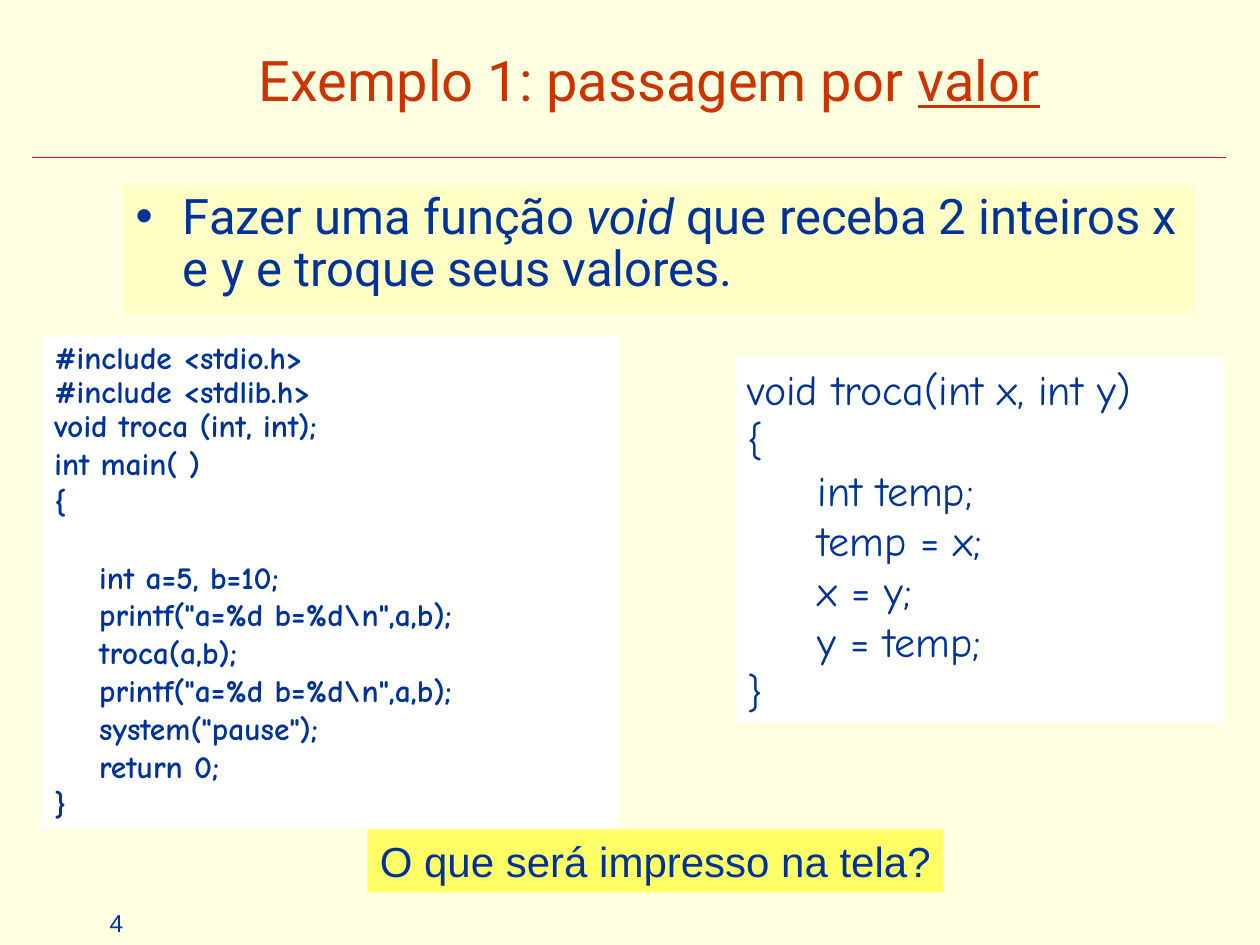
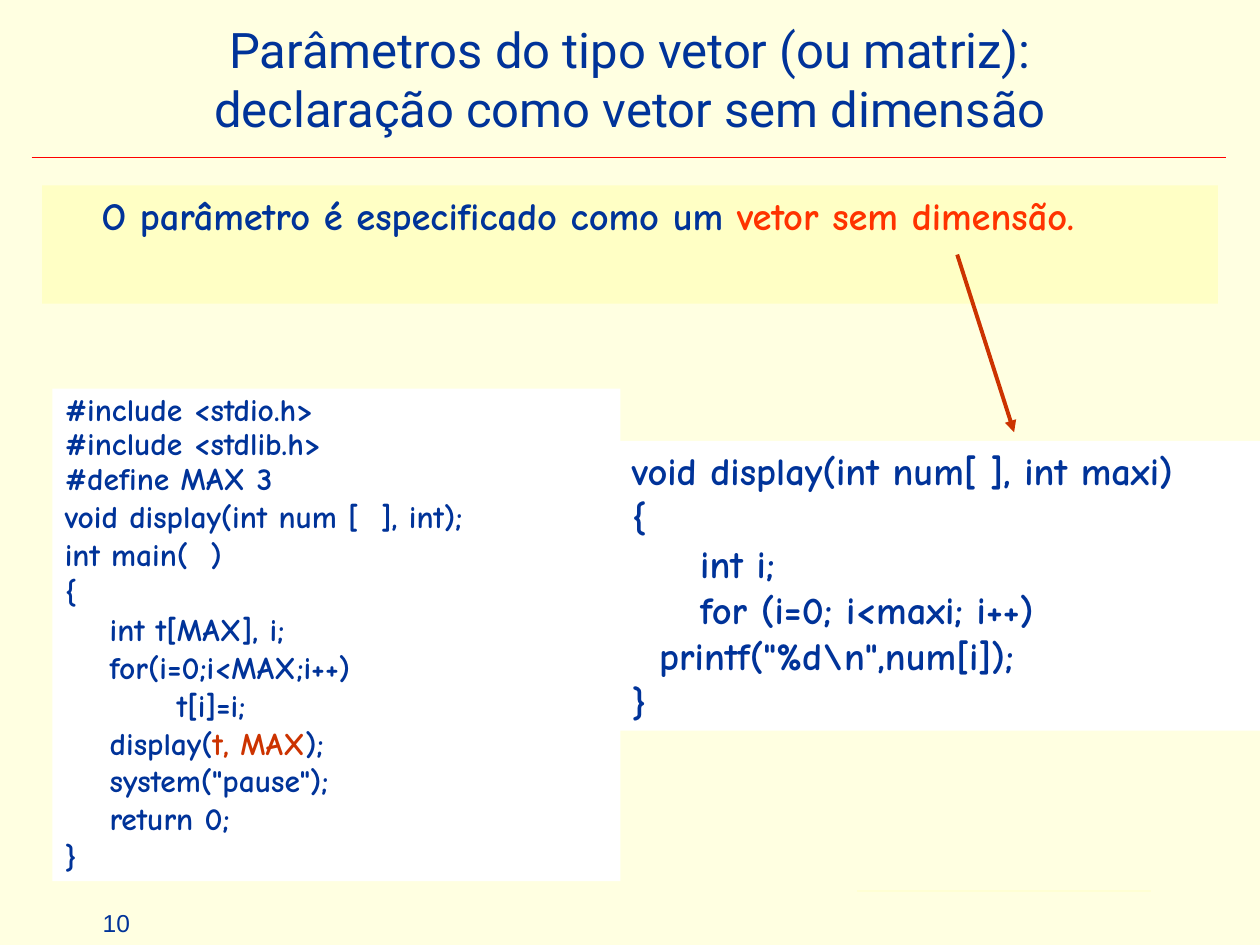
from lxml.etree import SubElement as Sub
from pptx import Presentation
from pptx.dml.color import RGBColor
from pptx.enum.shapes import MSO_CONNECTOR as Link
from pptx.enum.text import MSO_ANCHOR as Anchor, PP_ALIGN as Align
from pptx.oxml.ns import qn
from pptx.util import Pt

# Palette and fonts
CREAM = RGBColor(0xFF, 0xFF, 0xE1)
PALE = RGBColor(0xFF, 0xFF, 0xC5)
FAINT = RGBColor(0xFF, 0xFF, 0xD3)
YELLOW = RGBColor(0xFF, 0xFF, 0x66)
WHITE = RGBColor(0xFF, 0xFF, 0xFF)
NAVY = RGBColor(0x00, 0x33, 0x99)
RED = RGBColor(0xFF, 0x00, 0x00)
BRICK = RGBColor(0xCC, 0x33, 0x00)
ORANGE = RGBColor(0xFF, 0x33, 0x00)
HEAD, CODE, PLAIN = "Roboto", "Comic Neue", "Arial"
INDENT = 27


def text(slide, box, lines, size=18, face=HEAD, color=NAVY, fill=None,
         bold=False, align=Align.LEFT, anchor=Anchor.TOP, wrap=True,
         indent=0, bullet=False, tight=0, gaps=None):
    """Each line is a string or a list of (string, run format) pairs.

    The first `tight` lines are set at 0.9; `gaps` maps a line to its
    space before.
    """
    shape = slide.shapes.add_textbox(*map(Pt, box))
    if fill is not None:
        shape.fill.solid()
        shape.fill.fore_color.rgb = fill
    frame = shape.text_frame
    frame.word_wrap = wrap
    frame.vertical_anchor = anchor
    for num, line in enumerate(lines):
        para = frame.paragraphs[0] if num == 0 else frame.add_paragraph()
        para.alignment = align
        if indent:
            props = para._p.get_or_add_pPr()
            props.set("marL", str(Pt(indent)))
            if bullet:
                props.set("indent", str(-Pt(indent)))
                Sub(props, qn("a:buFont"), typeface=PLAIN)
                Sub(props, qn("a:buChar"), char="•")
        if num < tight:
            para.line_spacing = 0.9
        if gaps and num in gaps:
            para.space_before = Pt(gaps[num])
        for part, style in [(line, {})] if isinstance(line, str) else line:
            run = para.add_run()
            run.text = part
            font = run.font
            font.name, font.size, font.bold = face, Pt(size), bold
            font.color.rgb = style.get("color", color)
            font.italic = style.get("italic", False)
            font.underline = style.get("under", False)


def rule(slide, start, end, color, width=1, arrow=False):
    line = slide.shapes.add_connector(Link.STRAIGHT, *map(Pt, start + end))
    line.line.color.rgb = color
    line.line.width = Pt(width)
    if arrow:
        Sub(line.line._get_or_add_ln(), qn("a:tailEnd"), type="triangle")
    Sub(line._element.spPr, qn("a:effectLst"))


def title(slide, box, lines, **style):
    text(slide, box, lines, align=Align.CENTER, anchor=Anchor.MIDDLE, **style)


def code(slide, box, lines, **style):
    text(slide, box, lines, face=CODE, fill=WHITE, **style)


def base(deck, num):
    """Blank slide with the shared background, rules and page number."""
    slide = deck.slides.add_slide(deck.slide_layouts[6])
    slide.background.fill.solid()
    slide.background.fill.fore_color.rgb = CREAM
    rule(slide, (18, 90), (700.5, 90), RED)
    rule(slide, (489.5, 509), (658, 509), FAINT)
    text(slide, (21.5, 515.5, 90, 24), [str(num)], size=14, face=PLAIN,
         align=Align.CENTER, anchor=Anchor.MIDDLE, wrap=False)
    return slide


def swap(deck):
    slide = base(deck, 4)
    title(slide, (65, 0, 612, 90),
          [[("Exemplo 1: passagem por ", {}), ("valor", {"under": True})]],
          size=32, color=BRICK)
    text(slide, (70.5, 106, 612, 73.5),
         [[("Fazer uma função", {}), (" void ", {"italic": True}),
           ("que receba 2 inteiros x e y e troque seus valores.", {})]],
         size=28, fill=PALE, indent=INDENT, bullet=True, tight=1)
    # Function, then the program that calls it
    code(slide, (420, 204, 279, 209), [
        "void troca(int x, int y)",
        "{",
        "     int temp;",
        "     temp = x;",
        "     x = y;",
        "     y = temp;",
        "}",
    ], size=24)
    code(slide, (24, 192, 329, 281.5), [
        "#include <stdio.h>",
        "#include <stdlib.h>",
        "void troca (int, int);",
        "int main( )",
        "{",
        "    int a=5, b=10;",
        '    printf("a=%d b=%d\\n",a,b);',
        "    troca(a,b);",
        '    printf("a=%d b=%d\\n",a,b);',
        '    system("pause");',
        "    return 0;",
        "}",
    ], bold=True, tight=3, gaps={5: 21.6})
    text(slide, (210, 474, 329, 36), ["O que será impresso na tela?"],
         size=24, face=PLAIN, fill=YELLOW, wrap=False)


def vector(deck):
    slide = base(deck, 10)
    title(slide, (0, 0, 720, 90),
          ["Parâmetros do tipo vetor (ou matriz):",
           "declaração como vetor sem dimensão"], size=28)
    text(slide, (24, 106, 672, 67.5),
         [[("O parâmetro é especificado como um ", {}),
           ("vetor sem dimensão.", {"color": ORANGE})]],
         size=22, face=CODE, fill=PALE, bold=True, indent=INDENT)
    # Program, then the function it calls
    code(slide, (30, 222, 324.5, 281.5), [
        "#include <stdio.h>",
        "#include <stdlib.h>",
        "#define MAX 3",
        "void display(int num [  ], int);",
        "int main(  )",
        "{",
        "    int t[MAX], i;",
        "    for(i=0;i<MAX;i++)",
        "          t[i]=i;",
        [("    display(", {}), ("t, MAX", {"color": BRICK}), (");", {})],
        '    system("pause");',
        "    return 0;",
        "}",
    ], bold=True, tight=3)
    code(slide, (354, 252, 366, 165.5), [
        "void display(int num[ ], int maxi)",
        "{",
        "     int i;",
        "     for (i=0; i<maxi; i++)",
        '  printf("%d\\n",num[i]);',
        "}",
    ], size=22, bold=True)
    rule(slide, (547, 145.5), (579.5, 247), BRICK, width=2.25, arrow=True)


def main():
    deck = Presentation()
    deck.slide_width, deck.slide_height = Pt(720), Pt(540)
    swap(deck)
    vector(deck)
    deck.save("out.pptx")


if __name__ == "__main__":
    main()
